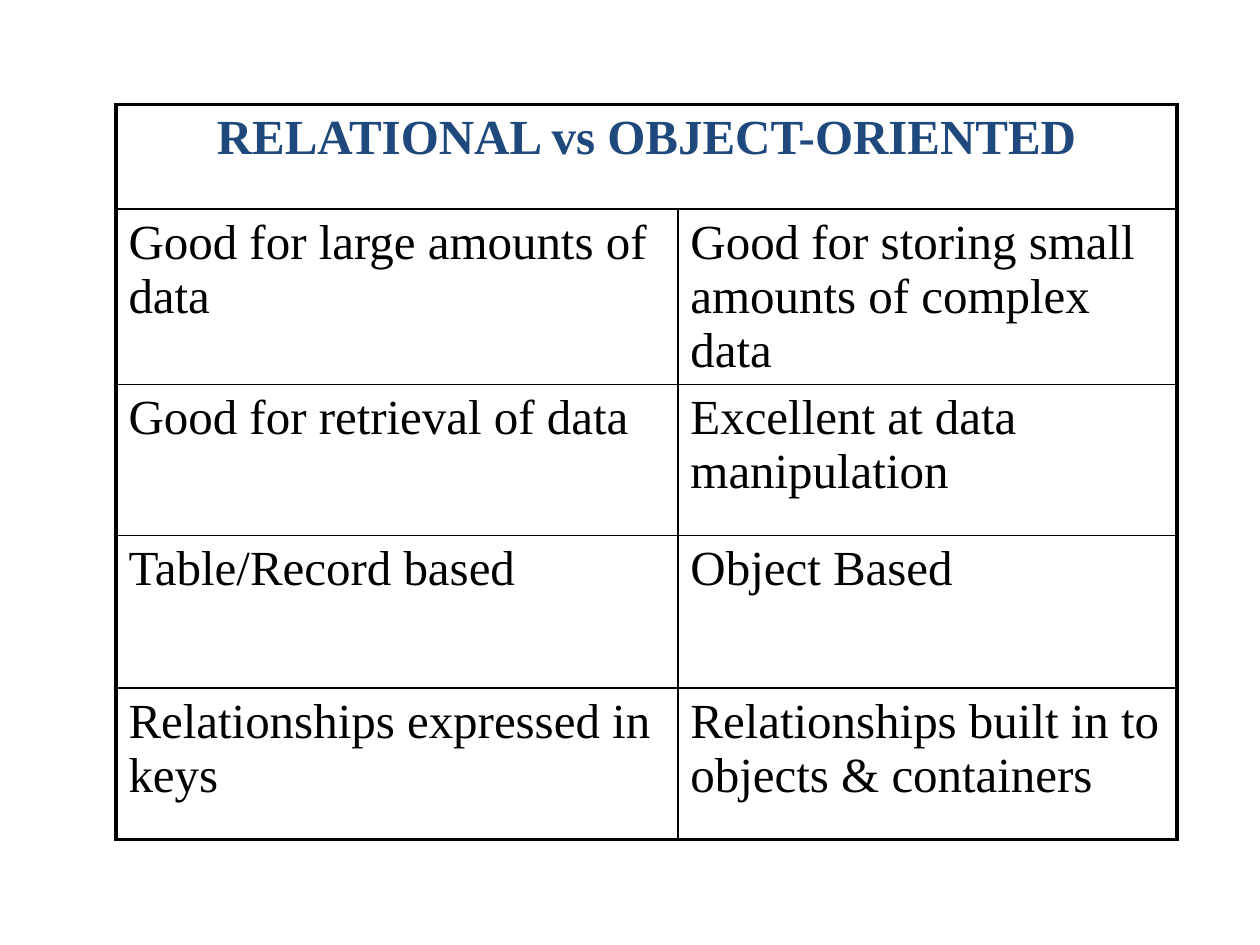
from pptx import Presentation
from pptx.dml.color import RGBColor
from pptx.enum.text import MSO_ANCHOR, PP_ALIGN
from pptx.oxml.ns import qn
from pptx.util import Inches, Pt
from lxml.etree import SubElement

BLACK = RGBColor(0x00, 0x00, 0x00)
NAVY = RGBColor(0x1F, 0x49, 0x7D)
FONT = "Times New Roman"
OUTER, INNER = Pt(2.25), Pt(1)

HEADING = "RELATIONAL vs OBJECT-ORIENTED"
COMPARISONS = [
    ("Good for large amounts of data", "Good for storing small amounts of complex data"),
    ("Good for retrieval of data", "Excellent at data manipulation"),
    ("Table/Record based", "Object Based"),
    ("Relationships expressed in keys", "Relationships built in to objects & containers"),
]
COLUMN_WIDTHS = (4.46, 3.96)
ROW_HEIGHTS = (0.83, 1.21, 1.2, 1.21, 1.2)


def write_cell(cell, text, color=BLACK, bold=False, align=PP_ALIGN.LEFT):
    cell.vertical_anchor = MSO_ANCHOR.TOP
    para = cell.text_frame.paragraphs[0]
    para.alignment = align
    span = para.add_run()
    span.text = text
    span.font.name = FONT
    span.font.size = Pt(28)
    span.font.bold = bold
    span.font.color.rgb = color


def set_borders(cell, widths):
    """Draw the left, right, top and bottom borders, in that order."""
    properties = cell._tc.get_or_add_tcPr()
    for side, width in zip("LRTB", widths):
        line = SubElement(properties, qn(f"a:ln{side}"), w=str(int(width)))
        fill = SubElement(line, qn("a:solidFill"))
        SubElement(fill, qn("a:srgbClr"), val=str(BLACK))


def add_comparison(page, left, top, width, height):
    rows, columns = len(ROW_HEIGHTS), len(COLUMN_WIDTHS)
    table = page.shapes.add_table(rows, columns, left, top, width, height).table
    table.first_row = table.horz_banding = False
    for column, size in zip(table.columns, COLUMN_WIDTHS):
        column.width = Inches(size)
    for row, size in zip(table.rows, ROW_HEIGHTS):
        row.height = Inches(size)

    # Heavy frame, thin inner rules, no fill
    for r in range(rows):
        for c in range(columns):
            cell = table.cell(r, c)
            on_edge = (c == 0, c == columns - 1 or r == 0, r == 0, r == rows - 1)
            set_borders(cell, [OUTER if edge else INNER for edge in on_edge])
            cell.fill.background()

    # Heading across both columns
    heading = table.cell(0, 0)
    heading.merge(table.cell(0, columns - 1))
    write_cell(heading, HEADING, NAVY, True, PP_ALIGN.CENTER)

    # Compared points
    for r, points in enumerate(COMPARISONS, start=1):
        for c, text in enumerate(points):
            write_cell(table.cell(r, c), text)


def main():
    deck = Presentation()
    deck.slide_width, deck.slide_height = Inches(10), Inches(7.5)
    page = deck.slides.add_slide(deck.slide_layouts[6])
    add_comparison(page, Inches(0.92), Inches(0.83),
                   Inches(sum(COLUMN_WIDTHS)), Inches(sum(ROW_HEIGHTS)))
    deck.save("out.pptx")


if __name__ == "__main__":
    main()
